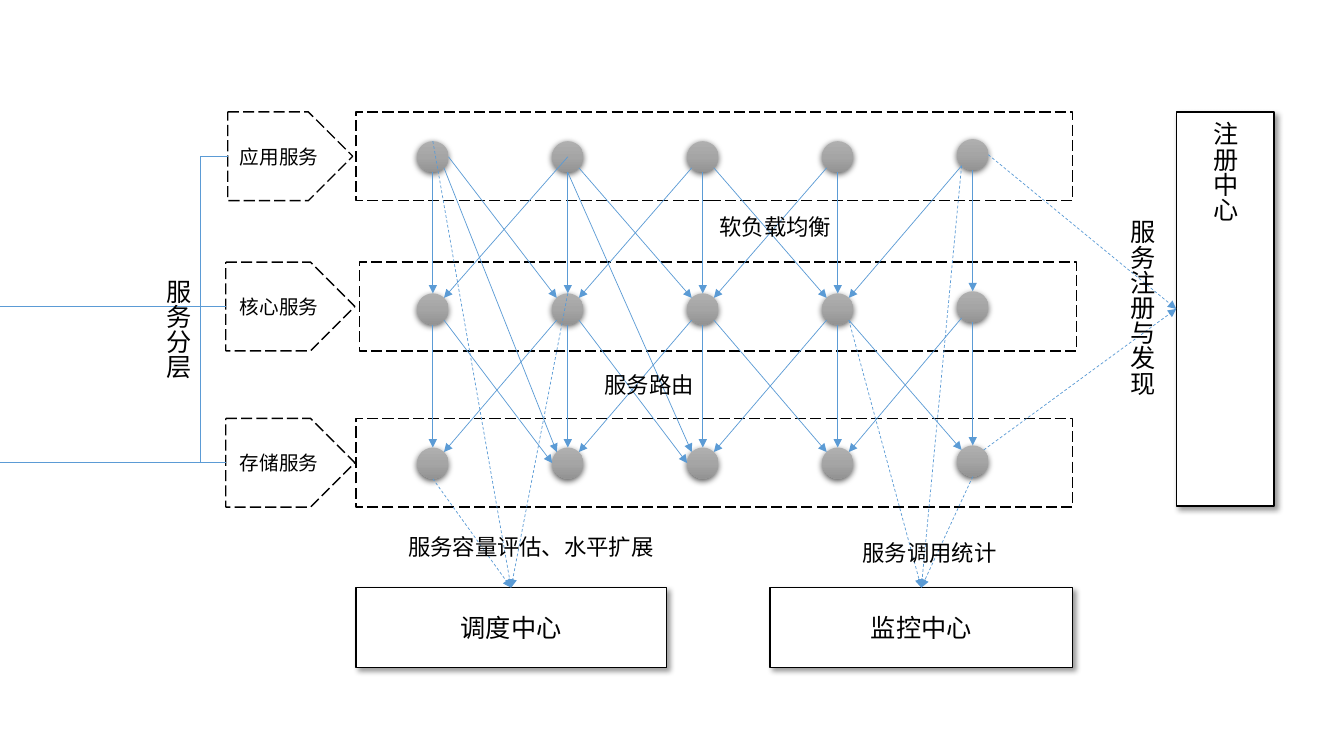
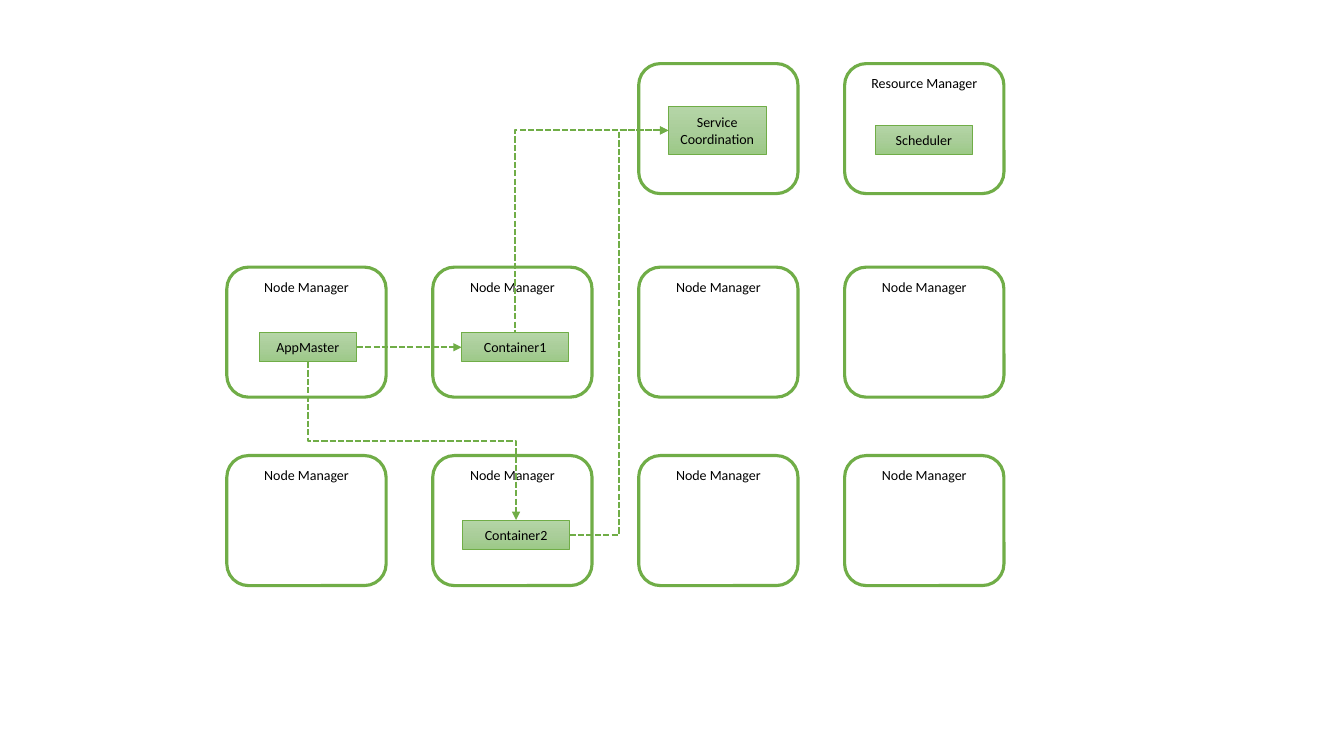
"""Build two diagrams: a layered service architecture and a container cluster."""
from dataclasses import dataclass
from lxml.etree import SubElement
from pptx import Presentation
from pptx.dml.color import RGBColor
from pptx.enum.dml import MSO_LINE as Dash
from pptx.enum.shapes import MSO_CONNECTOR as Link, MSO_SHAPE as Form
from pptx.enum.text import MSO_ANCHOR as Anchor, MSO_AUTO_SIZE as AutoSize, PP_ALIGN as Align
from pptx.oxml.ns import qn
from pptx.util import Pt


@dataclass(frozen=True)
class Theme:
    font: str = "Calibri"
    ink: str = "000000"
    paper: str = "FFFFFF"
    blue: str = "5B9BD5"
    green: str = "70AD47"
    grey_blend: tuple = ("AFAFAF", "A5A5A5", "939393")
    green_blend: tuple = ("B5D5A7", "AACE9A", "9CC987")
    box_shadow: tuple = (40, 4, 3, 45)
    node_shadow: tuple = (63, 4.5, 1.5, 90)
    heading: int = 18
    label: int = 16
    layer: int = 14
    small: int = 10


THEME = Theme()

LAYERS = [
    ("应用服务", (162.7, 79.9, 89.3), 254.2, 112),
    ("核心服务", (161.3, 187.2, 92.2), 257, 220.7),
    ("存储服务", (161.3, 298.8, 92.2), 254.2, 330.8),
]
BAND_WIDTH, BAND_HEIGHT = 511.9, 63.4
NODE_COLUMNS, NODE_LEFT, NODE_STEP, NODE_SIZE = 5, 309.2, 96.4, 22.3
LAST_NODE_LIFT = 1.5
BRACKET_X = 143.3

CENTERS = {
    "注册中心": (840.2, 79.9, 69.8, 281.5),
    "调度中心": (254.2, 419.8, 221.8, 56.9),
    "监控中心": (550.1, 419.8, 216, 56.9),
}
SIDE_TEXTS = [
    ("服务分层", (105.8, 192.2, 36, 90)),
    ("服务注册与发现", (794.2, 149.8, 36, 149)),
]
LABELS = [
    ("服务容量评估、水平扩展", (284.4, 377.3, 210.2, 26.6)),
    ("服务调用统计", (609.1, 381.6, 131.8, 26.6)),
    ("软负载均衡", (506.9, 149, 131.8, 26.6)),
    ("服务路由", (424.8, 261.4, 131.8, 26.6)),
]
CALLS = [
    ((0, 0), "SE", (2, 1), "NW"), ((0, 0), "E", (1, 1), "NW"),
    ((0, 1), "", (1, 0), "NE"), ((0, 1), "SE", (1, 2), "NW"),
    ((0, 1), "S", (2, 2), "NW"), ((0, 2), "SW", (1, 1), "NE"),
    ((0, 2), "SE", (1, 3), "NW"), ((0, 3), "SW", (1, 2), "NE"),
    ((0, 4), "SW", (1, 3), "NE"), ((1, 0), "SE", (2, 1), "W"),
    ((1, 1), "SW", (2, 0), "NE"), ((1, 1), "SE", (2, 2), "W"),
    ((1, 2), "SW", (2, 1), "NE"), ((1, 2), "SE", (2, 3), "NW"),
    ((1, 3), "SW", (2, 2), "NE"), ((1, 3), "SE", (2, 4), "NW"),
    ((1, 4), "SW", (2, 3), "NE"),
]
REPORTS = [
    ("调度中心", "N", [((2, 0), "S"), ((1, 1), "N"), ((0, 0), "N")]),
    ("监控中心", "N", [((0, 4), "SW"), ((2, 4), "S"), ((1, 3), "SE")]),
    ("注册中心", "W", [((0, 4), "E"), ((2, 4), "NE")]),
]

HOST_LEFT, HOST_STEP, HOST_WIDTH, HOST_HEIGHT = 162, 147.1, 113.8, 92.9
HOST_ROWS = [
    (45.4, {2: "", 3: "Resource Manager"}),
    (190.8, dict.fromkeys(range(4), "Node Manager")),
    (325.4, dict.fromkeys(range(4), "Node Manager")),
]
PROCESSES = {
    "Scheduler": (625, 89.3, 69.8, 20.9),
    "Service Coordination": (477.4, 76.3, 69.8, 33.8),
    "AppMaster": (185, 237.6, 69.8, 20.9),
    "Container1": (329.8, 237.6, 76.3, 20.9),
    "Container2": (330.5, 371.5, 76.3, 20.9),
}


def color(value):
    return RGBColor.from_string(value)


def write(shape, text, size=THEME.small, align=Align.CENTER, anchor=Anchor.MIDDLE, vertical=False):
    frame = shape.text_frame
    frame.word_wrap = True
    frame.vertical_anchor = anchor
    if vertical:
        frame._txBody.bodyPr.set("vert", "eaVert")
    paragraph = frame.paragraphs[0]
    paragraph.alignment = align
    run = paragraph.add_run()
    run.text = text
    run.font.size, run.font.name = Pt(size), THEME.font
    run.font.color.rgb = color(THEME.ink)


def add_color(parent, value):
    return SubElement(parent, qn("a:srgbClr"), val=value)


def add_shape(slide, form, box, fill=THEME.paper, line=THEME.ink, width=1, dash=None, shadow=None):
    shape = slide.shapes.add_shape(form, *map(Pt, box))
    properties = shape._element.spPr
    if isinstance(fill, tuple):
        shape.fill.gradient()
        shape.fill.gradient_angle = 270
        stops = properties.find(qn("a:gradFill")).find(qn("a:gsLst"))
        stops.clear()
        for index, value in enumerate(fill):
            add_color(SubElement(stops, qn("a:gs"), pos=str(index * 50000)), value)
    else:
        shape.fill.solid()
        shape.fill.fore_color.rgb = color(fill)
    if line:
        shape.line.color.rgb = color(line)
        shape.line.width = Pt(width)
        shape.line.dash_style = dash
    else:
        shape.line.fill.background()
    shape.shadow.inherit = False
    if shadow:
        alpha, blur, distance, angle = shadow
        outer = SubElement(
            properties.find(qn("a:effectLst")), qn("a:outerShdw"), blurRad=str(Pt(blur)),
            dist=str(Pt(distance)), dir=str(angle * 60000), rotWithShape="0")
        SubElement(add_color(outer, THEME.ink), qn("a:alpha"), val=str(alpha * 1000))
    return shape


def add_label(slide, text, box, size, vertical=False):
    label = slide.shapes.add_textbox(*map(Pt, box))
    write(label, text, size=size, align=Align.LEFT, anchor=Anchor.TOP, vertical=vertical)
    label.text_frame.auto_size = AutoSize.SHAPE_TO_FIT_TEXT


def connect(slide, begin, end, kind=Link.STRAIGHT, line=THEME.blue, width=0.5, dash=None,
            arrow="tailEnd", bend=None, corner=False, upright=False):
    if upright:
        middle_x, middle_y = (begin[0] + end[0]) / 2, (begin[1] + end[1]) / 2
        half_x, half_y = (end[0] - begin[0]) / 2, (end[1] - begin[1]) / 2
        begin = middle_x + half_y, middle_y - half_x
        end = middle_x - half_y, middle_y + half_x
    connector = slide.shapes.add_connector(kind, *map(Pt, begin + end))
    connector.line.color.rgb = color(line)
    connector.line.width = Pt(width)
    connector.line.dash_style = dash
    properties = connector._element.spPr
    geometry = properties.find(qn("a:prstGeom"))
    if upright:
        properties.find(qn("a:xfrm")).set("rot", str(270 * 60000))
    if corner:
        geometry.set("prst", "bentConnector2")
    if bend is not None:
        guides = geometry.find(qn("a:avLst"))
        SubElement(guides, qn("a:gd"), name="adj1", fmla=f"val {round(bend * 100000)}")
    if arrow:
        SubElement(properties.find(qn("a:ln")), qn(f"a:{arrow}"), type="triangle")
    SubElement(properties, qn("a:effectLst"))


def side(box, name):
    left, top, width, height = box
    across = {"W": 0, "E": 1}.get(name, 0.5)
    down = {"N": 0, "S": 1}.get(name, 0.5)
    return left + width * across, top + height * down


def node_center(row, column):
    lift = LAST_NODE_LIFT if column == NODE_COLUMNS - 1 else 0
    return NODE_LEFT + NODE_STEP * column, LAYERS[row][3] - lift


def node_site(node, name):
    x, y = node_center(*node)
    reach = NODE_SIZE / 2 * (0.71 if len(name) == 2 else 1)
    return (x + reach * (("E" in name) - ("W" in name)),
            y + reach * (("S" in name) - ("N" in name)))


def build_services(slide):
    for text, box in CENTERS.items():
        tall = box[3] > box[2]
        center = add_shape(slide, Form.RECTANGLE, box, shadow=THEME.box_shadow)
        write(center, text, size=THEME.heading, vertical=tall,
              align=Align.LEFT if tall else Align.CENTER)

    entries = []
    for row, (text, (left, top, width), band_left, _) in enumerate(LAYERS):
        plate_box = left, top, width, BAND_HEIGHT
        entries.append(side(plate_box, "W"))
        plate = add_shape(slide, Form.PENTAGON, plate_box, dash=Dash.LONG_DASH)
        write(plate, text, size=THEME.layer)
        add_shape(slide, Form.RECTANGLE, (band_left, top, BAND_WIDTH, BAND_HEIGHT),
                  dash=Dash.LONG_DASH)
        for column in range(NODE_COLUMNS):
            x, y = node_center(row, column)
            add_shape(slide, Form.OVAL, (x - NODE_SIZE / 2, y - NODE_SIZE / 2, NODE_SIZE, NODE_SIZE),
                      fill=THEME.grey_blend, line=None, shadow=THEME.node_shadow)

    first = entries[0]
    for entry in entries[1:]:
        connect(slide, first, entry, kind=Link.ELBOW, arrow=None,
                bend=(first[0] - BRACKET_X) / (first[0] - entry[0]))
        connect(slide, (0, entry[1]), entry, arrow=None)

    for text, site, sources in REPORTS:
        for node, name in sources:
            connect(slide, node_site(node, name), side(CENTERS[text], site), dash=Dash.DASH)
    straight = [((row, column), "S", (row + 1, column), "N")
                for row in range(len(LAYERS) - 1) for column in range(NODE_COLUMNS)]
    for source, leave, target, enter in CALLS + straight:
        connect(slide, node_site(source, leave), node_site(target, enter))

    for text, box in SIDE_TEXTS:
        add_label(slide, text, box, THEME.heading, vertical=True)
    for text, box in LABELS:
        add_label(slide, text, box, THEME.label)


def build_cluster(slide):
    for top, hosts in HOST_ROWS:
        for column, text in hosts.items():
            box = HOST_LEFT + HOST_STEP * column, top, HOST_WIDTH, HOST_HEIGHT
            host = add_shape(slide, Form.ROUNDED_RECTANGLE, box, line=THEME.green, width=2.25)
            if text:
                write(host, text, anchor=Anchor.TOP)
    for text, box in PROCESSES.items():
        process = add_shape(slide, Form.RECTANGLE, box, fill=THEME.green_blend,
                            line=THEME.green, width=0.5)
        write(process, text)

    service, master, first, second = (
        PROCESSES[name] for name in ("Service Coordination", "AppMaster", "Container1", "Container2"))
    flow = dict(line=THEME.green, width=1.5, dash=Dash.SQUARE_DOT)
    connect(slide, side(master, "E"), side(first, "W"), **flow)
    connect(slide, side(master, "S"), side(second, "N"), kind=Link.ELBOW, bend=0.5,
            upright=True, **flow)
    connect(slide, side(service, "W"), side(first, "N"), kind=Link.ELBOW, corner=True,
            arrow="headEnd", **flow)
    connect(slide, side(second, "E"), side(service, "W"), kind=Link.ELBOW, bend=0.5, **flow)


presentation = Presentation()
presentation.slide_width, presentation.slide_height = Pt(960), Pt(540)
for build in (build_services, build_cluster):
    build(presentation.slides.add_slide(presentation.slide_layouts[6]))
presentation.save("out.pptx")
